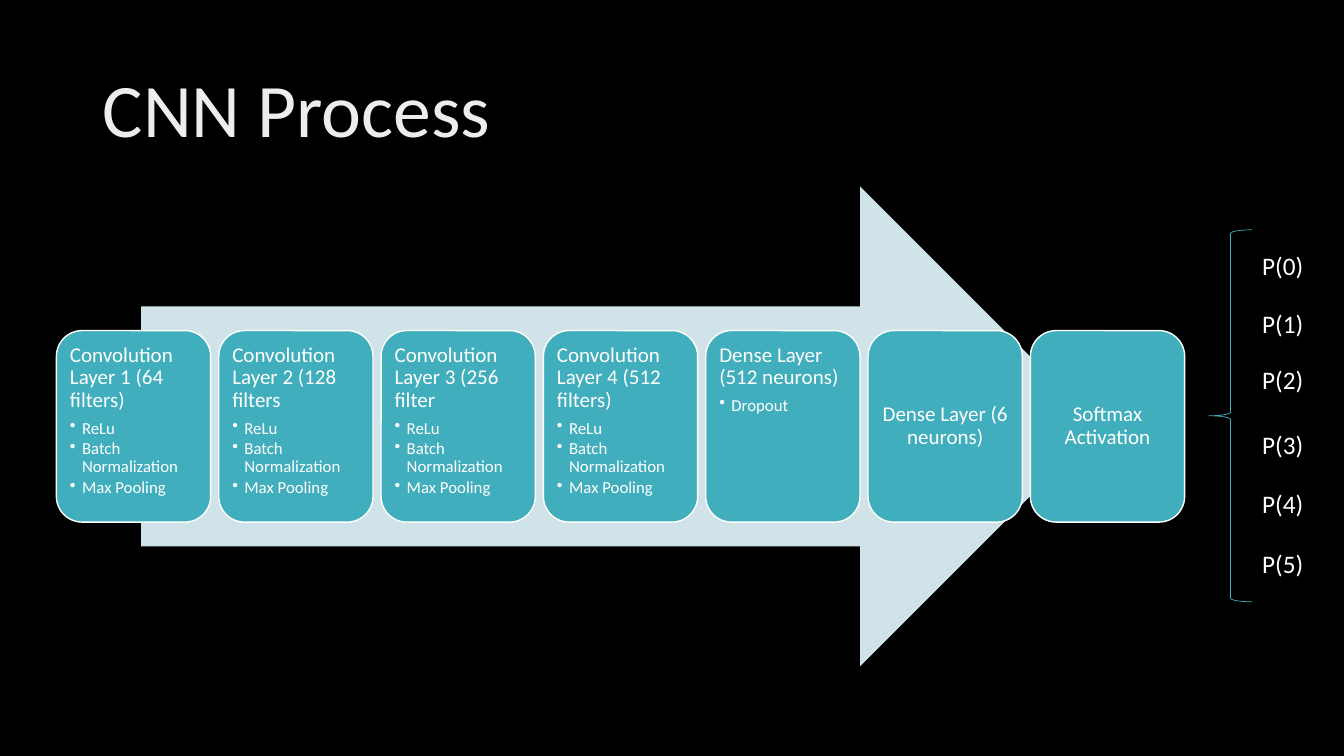
import lxml.etree
import pptx
import pptx.dml.color
import pptx.enum.shapes
import pptx.enum.text
import pptx.oxml.ns
import pptx.util
from pptx.util import Inches

FONT = "Calibri"
COLORS = {
    "background": "000000",
    "arrow": "CFE3E8",
    "teal": "41AEBD",
    "white": "FFFFFF",
}
TITLE_GRADIENT = [(0, "BFBFBF"), (28, "EDEDED"), (100, "FFFFFF")]

CONVOLUTION_STEPS = ["ReLu", "Batch Normalization", "Max Pooling"]
LAYERS = [
    ("Convolution Layer 1 (64 filters)", CONVOLUTION_STEPS),
    ("Convolution Layer 2 (128 filters", CONVOLUTION_STEPS),
    ("Convolution Layer 3 (256 filter", CONVOLUTION_STEPS),
    ("Convolution Layer 4 (512 filters)", CONVOLUTION_STEPS),
    ("Dense Layer (512 neurons)", ["Dropout"]),
    ("Dense Layer (6 neurons)", []),
    ("Softmax Activation", []),
]
LAYER_LEFT, LAYER_PITCH = 0.56, 1.61
PROBABILITY_TOPS = [2.43, 3.01, 3.57, 4.21, 4.8, 5.39]

SHAPES = pptx.enum.shapes.MSO_SHAPE
ALIGN = pptx.enum.text.PP_ALIGN
ANCHOR = pptx.enum.text.MSO_ANCHOR


def color(name):
    return pptx.dml.color.RGBColor.from_string(COLORS[name])


def add_element(parent, tag, **attributes):
    return lxml.etree.SubElement(parent, pptx.oxml.ns.qn(tag), **attributes)


def format_font(font, size):
    font.name = FONT
    font.size = pptx.util.Pt(size)
    font.color.rgb = color("white")


def format_title(title):
    title.left, title.top = Inches(0.92), Inches(0.4)
    title.width, title.height = Inches(11.5), Inches(1.45)
    title.text_frame.text = "CNN Process"
    title.text_frame.vertical_anchor = ANCHOR.MIDDLE
    paragraph = title.text_frame.paragraphs[0]
    paragraph.alignment = ALIGN.LEFT
    paragraph.line_spacing = 0.9
    run = paragraph.runs[0]
    run.font.name = FONT
    run.font.size = pptx.util.Pt(54)

    # Gradient text fill
    properties = run._r.get_or_add_rPr()
    gradient = add_element(properties, "a:gradFill")
    stops = add_element(gradient, "a:gsLst")
    for position, value in TITLE_GRADIENT:
        stop = add_element(stops, "a:gs", pos=str(position * 1000))
        add_element(stop, "a:srgbClr", val=value)
    add_element(gradient, "a:lin", ang=str(80 * 60000), scaled="0")
    properties.insert(0, gradient)


def add_shape(slide, kind, left, top, width, height, fill=None, line=None, line_width=1):
    shape = slide.shapes.add_shape(
        kind, Inches(left), Inches(top), Inches(width), Inches(height))
    shape.shadow.inherit = False
    if fill:
        shape.fill.solid()
        shape.fill.fore_color.rgb = color(fill)
    else:
        shape.fill.background()
    if line:
        shape.line.color.rgb = color(line)
        shape.line.width = pptx.util.Pt(line_width)
    else:
        shape.line.fill.background()
    return shape


def format_paragraph(paragraph, size, space_after, alignment):
    paragraph.alignment = alignment
    paragraph.line_spacing = 0.9
    paragraph.space_after = pptx.util.Pt(space_after)
    format_font(paragraph.runs[0].font, size)


def add_bullet(paragraph):
    properties = paragraph._p.get_or_add_pPr()
    properties.set("marL", str(Inches(0.12)))
    properties.set("indent", str(Inches(-0.12)))
    add_element(properties, "a:buChar", char="•")


def add_layer(slide, left, name, steps):
    shape = add_shape(slide, SHAPES.ROUNDED_RECTANGLE, left, 3.28, 1.53, 1.9,
                      fill="teal", line="white")
    frame = shape.text_frame
    frame.word_wrap = True
    frame.margin_left = frame.margin_right = Inches(0.06)
    frame.margin_top = frame.margin_bottom = Inches(0.06)
    frame.vertical_anchor = ANCHOR.TOP if steps else ANCHOR.MIDDLE
    frame.text = name
    format_paragraph(frame.paragraphs[0], 15, 5.25,
                     ALIGN.LEFT if steps else ALIGN.CENTER)
    for step in steps:
        paragraph = frame.add_paragraph()
        paragraph.text = step
        paragraph.level = 1
        add_bullet(paragraph)
        format_paragraph(paragraph, 12, 1.8, ALIGN.LEFT)


def add_probability(slide, top, text):
    box = slide.shapes.add_textbox(
        Inches(12.42), Inches(top), Inches(0.67), Inches(0.4))
    frame = box.text_frame
    frame.word_wrap = True
    frame.auto_size = pptx.enum.text.MSO_AUTO_SIZE.SHAPE_TO_FIT_TEXT
    frame.text = text
    format_font(frame.paragraphs[0].runs[0].font, 18)


def main():
    presentation = pptx.Presentation()
    presentation.slide_width = Inches(13.33)
    presentation.slide_height = Inches(7.5)
    slide = presentation.slides.add_slide(presentation.slide_layouts[5])
    slide.background.fill.solid()
    slide.background.fill.fore_color.rgb = color("background")
    format_title(slide.shapes.title)

    # Process arrow with the network layers
    add_shape(slide, SHAPES.RIGHT_ARROW, 1.4, 1.85, 9.51, 4.76, fill="arrow")
    for index, (name, steps) in enumerate(LAYERS):
        add_layer(slide, LAYER_LEFT + index * LAYER_PITCH, name, steps)

    # Class probabilities
    add_shape(slide, SHAPES.LEFT_BRACE, 11.99, 2.28, 0.43, 3.69,
              line="teal", line_width=0.5)
    for index, top in enumerate(PROBABILITY_TOPS):
        add_probability(slide, top, f"P({index})")

    presentation.save("out.pptx")


if __name__ == "__main__":
    main()
